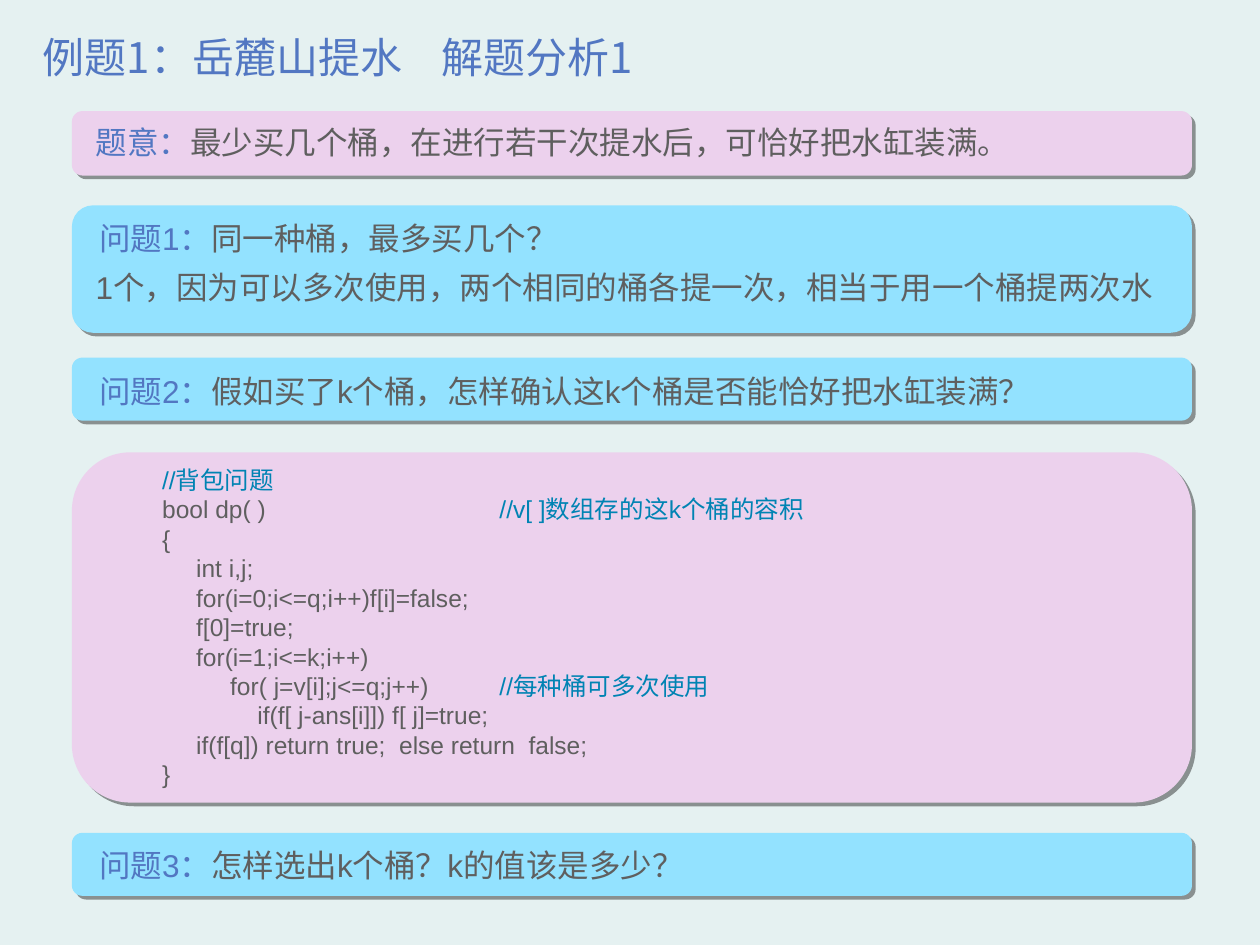
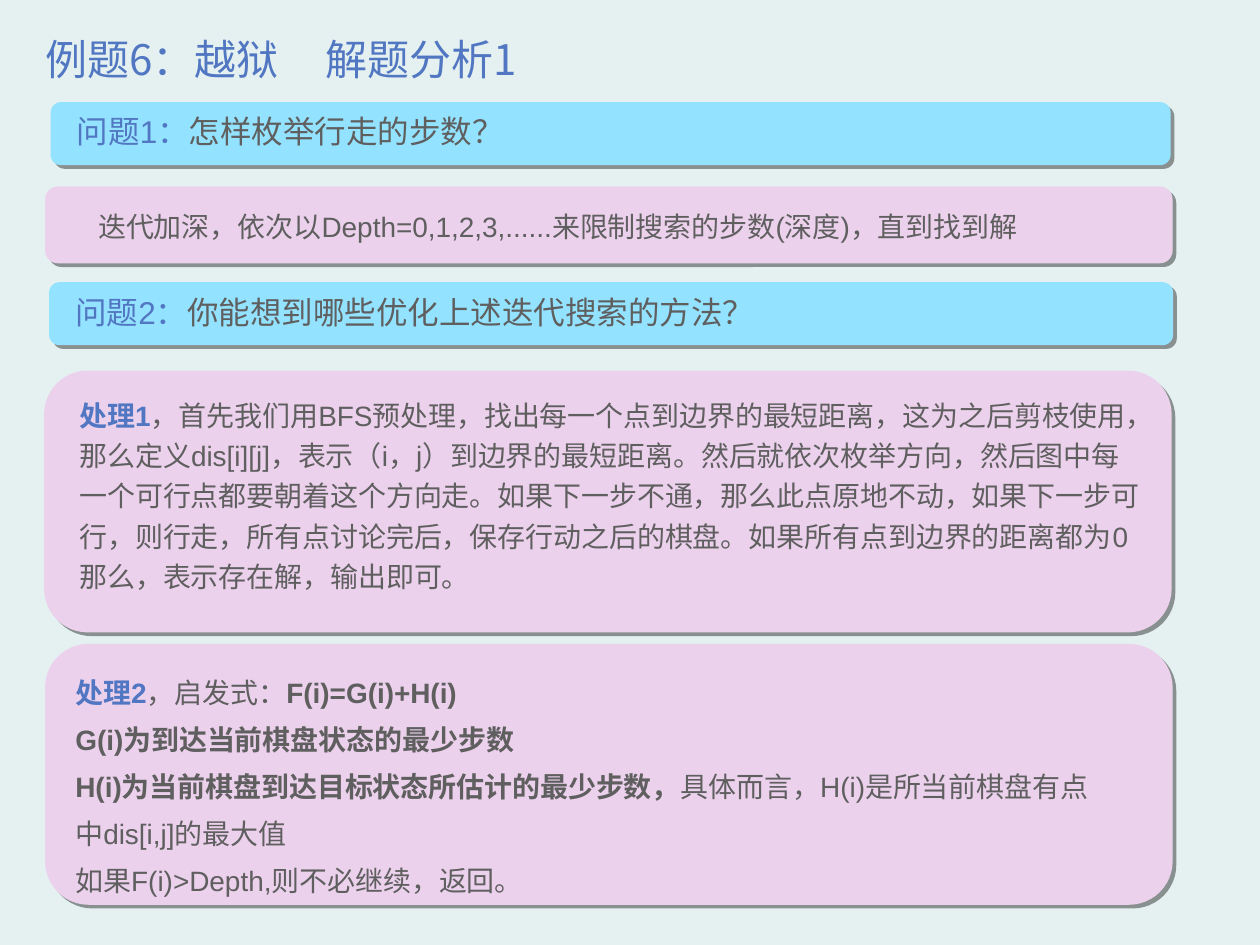
from lxml.etree import SubElement
from pptx import Presentation
from pptx.dml.color import RGBColor
from pptx.enum.shapes import MSO_SHAPE
from pptx.enum.text import MSO_ANCHOR, MSO_AUTO_SIZE, PP_ALIGN
from pptx.oxml.ns import qn
from pptx.util import Cm, Pt

PINK, CYAN = "ECD1ED", "93E2FF"
BLUE, GREY, TEAL = "5277C2", "5F5F5F", "0083B3"
CHINESE_FONT = "Noto Sans CJK SC"


def paint(fill, color):
    fill.solid()
    fill.fore_color.rgb = RGBColor.from_string(color)


def write(frame, lines, size=18, font="Arial", spacing=None, tab=None):
    frame.word_wrap = True
    for number, line in enumerate(lines):
        para = frame.paragraphs[0] if number == 0 else frame.add_paragraph()
        para.alignment = PP_ALIGN.LEFT
        para.line_spacing = spacing
        if tab:
            tabs = SubElement(para._p.get_or_add_pPr(), qn("a:tabLst"))
            SubElement(tabs, qn("a:tab"), pos=str(Cm(tab)), algn="l")
        for text, color, bold in line:
            span = para.add_run()
            span.text = text
            span.font.size = Pt(size)
            span.font.bold = bold
            span.font.name = font
            paint(span.font.fill, color)
            SubElement(span.font._element, qn("a:ea"), typeface=CHINESE_FONT)


code = """//背包问题
bool dp( )//v[ ]数组存的这k个桶的容积
{
     int i,j;
     for(i=0;i<=q;i++)f[i]=false;
     f[0]=true;
     for(i=1;i<=k;i++)
          for( j=v[i];j<=q;j++)//每种桶可多次使用
              if(f[ j-ans[i]]) f[ j]=true;
     if(f[q]) return true;  else return  false;
}"""
code_lines = []
for line in code.split("\n"):
    statement, slashes, comment = line.partition("//")
    spans = []
    if statement:
        spans.append((statement + ("\t" if slashes else ""), GREY, False))
    if slashes:
        spans.append((slashes + comment, TEAL, False))
    code_lines.append(spans)

meaning = [[("题意：", BLUE, False), ("最少买几个桶，在进行若干次提水后，可恰好把水缸装满。", GREY, False)]]
same_bucket = [[("问题1：", BLUE, False), ("同一种桶，最多买几个？", GREY, False)]]
one_is_enough = [[("1个，因为可以多次使用，两个相同的桶各提一次，相当于用一个桶提两次水", GREY, False)]]
can_fill = [[("问题2：", BLUE, False), ("假如买了k个桶，怎样确认这k个桶是否能恰好把水缸装满？", GREY, False)]]
choose_buckets = [[("问题3：", BLUE, False), ("怎样选出k个桶？k的值该是多少？", GREY, False)]]

count_steps = [[("问题1：", BLUE, False), ("怎样枚举行走的步数？", GREY, False)]]
deepening = [[("迭代加深，依次以Depth=0,1,2,3,......来限制搜索的步数(深度)，直到找到解", GREY, False)]]
improve = [[("问题2：", BLUE, False), ("你能想到哪些优化上述迭代搜索的方法？", GREY, False)]]
preprocessing = [[
    ("处理1", BLUE, True),
    ("，首先我们用BFS预处理，找出每一个点到边界的最短距离，这为之后剪枝使用，"
     "那么定义dis[i][j]，表示（i，j）到边界的最短距离。然后就依次枚举方向，"
     "然后图中每一个可行点都要朝着这个方向走。如果下一步不通，那么此点原地不动，"
     "如果下一步可行，则行走，所有点讨论完后，保存行动之后的棋盘。"
     "如果所有点到边界的距离都为0那么，表示存在解，输出即可。", GREY, False),
]]
heuristic = [
    [("处理2", BLUE, True), ("，启发式：", GREY, False), ("F(i)=G(i)+H(i)", GREY, True)],
    [("G(i)为到达当前棋盘状态的最少步数", GREY, True)],
    [("H(i)为当前棋盘到达目标状态所估计的最少步数，", GREY, True),
     ("具体而言，H(i)是所当前棋盘有点中dis[i,j]的最大值", GREY, False)],
    [("如果F(i)>Depth,则不必继续，返回。", GREY, False)],
]

pages = [
    {
        "title": "例题1：岳麓山提水\t解题分析1",
        "corner": (0.61, 0.03),
        "tab": 8.03,
        "panels": [
            (PINK, (1.45, 2.24, 22.58, 1.3), False,
             [((1.68, 2.36, 18.95, 1.02), meaning, {})]),
            (CYAN, (1.45, 4.14, 22.58, 2.57), False,
             [((1.75, 4.29, 18.95, 1.02), same_bucket, {}),
              ((1.68, 5.28, 22.83, 1.02), one_is_enough, {})]),
            (CYAN, (1.45, 7.21, 22.58, 1.27), False,
             [((1.75, 7.37, 21.06, 1.02), can_fill, {})]),
            (PINK, (1.45, 9.12, 22.58, 7.06), False,
             [((3.02, 9.25, 18.95, 6.78), code_lines, {"size": 14, "tab": 6.8})]),
            (CYAN, (1.45, 16.79, 22.58, 1.27), False,
             [((1.75, 16.94, 21.06, 1.02), choose_buckets, {})]),
        ],
    },
    {
        "title": "例题6：越狱\t解题分析1",
        "corner": (0.66, 0.08),
        "tab": 5.65,
        "panels": [
            (CYAN, (1.02, 2.06, 22.58, 1.27), False,
             [((1.3, 2.13, 21.08, 1.02), count_steps, {})]),
            (PINK, (0.91, 3.76, 22.73, 1.55), True,
             [((1.73, 3.96, 21.29, 1.07), deepening, {"size": 16, "spacing": 1.2})]),
            (CYAN, (0.99, 5.69, 22.66, 1.27), False,
             [((1.27, 5.79, 21.08, 1.02), improve, {})]),
            (PINK, (0.89, 7.47, 22.73, 5.28), True,
             [((1.35, 7.77, 21.92, 4.32), preprocessing, {"size": 16, "spacing": 1.2})]),
            (PINK, (0.91, 12.98, 22.73, 5.26), False,
             [((1.27, 13.23, 21.29, 5), heuristic, {"size": 16, "spacing": 1.4})]),
        ],
    },
]

deck = Presentation()
deck.slide_width, deck.slide_height = Cm(25.4), Cm(19.05)
paint(deck.slide_master.background.fill, "E5F1F1")

for content in pages:
    page = deck.slides.add_slide(deck.slide_layouts[5])
    title = page.shapes.title
    title.left, title.top = [Cm(length) for length in content["corner"]]
    title.width, title.height = Cm(21.89), Cm(2.34)
    title.text_frame.vertical_anchor = MSO_ANCHOR.MIDDLE
    title.text_frame.auto_size = MSO_AUTO_SIZE.NONE
    write(title.text_frame, [[(content["title"], BLUE, False)]], size=24,
          font=CHINESE_FONT, spacing=0.9, tab=content["tab"])

    for color, place, grouped, texts in content["panels"]:
        shapes = page.shapes.add_group_shape().shapes if grouped else page.shapes
        panel = shapes.add_shape(MSO_SHAPE.FLOWCHART_ALTERNATE_PROCESS,
                                 *[Cm(length) for length in place])
        paint(panel.fill, color)
        panel.line.fill.background()
        panel.shadow.inherit = False
        effects = panel._element.spPr.find(qn("a:effectLst"))
        shadow = SubElement(effects, qn("a:outerShdw"), blurRad="0", dist=str(Pt(3)),
                            dir="2700000", algn="ctr", rotWithShape="0")
        black = SubElement(shadow, qn("a:srgbClr"), val="000000")
        SubElement(black, qn("a:alpha"), val="40000")

        for text_place, lines, style in texts:
            box = shapes.add_textbox(*[Cm(length) for length in text_place])
            box.text_frame.auto_size = MSO_AUTO_SIZE.SHAPE_TO_FIT_TEXT
            write(box.text_frame, lines, **style)

deck.save("out.pptx")
